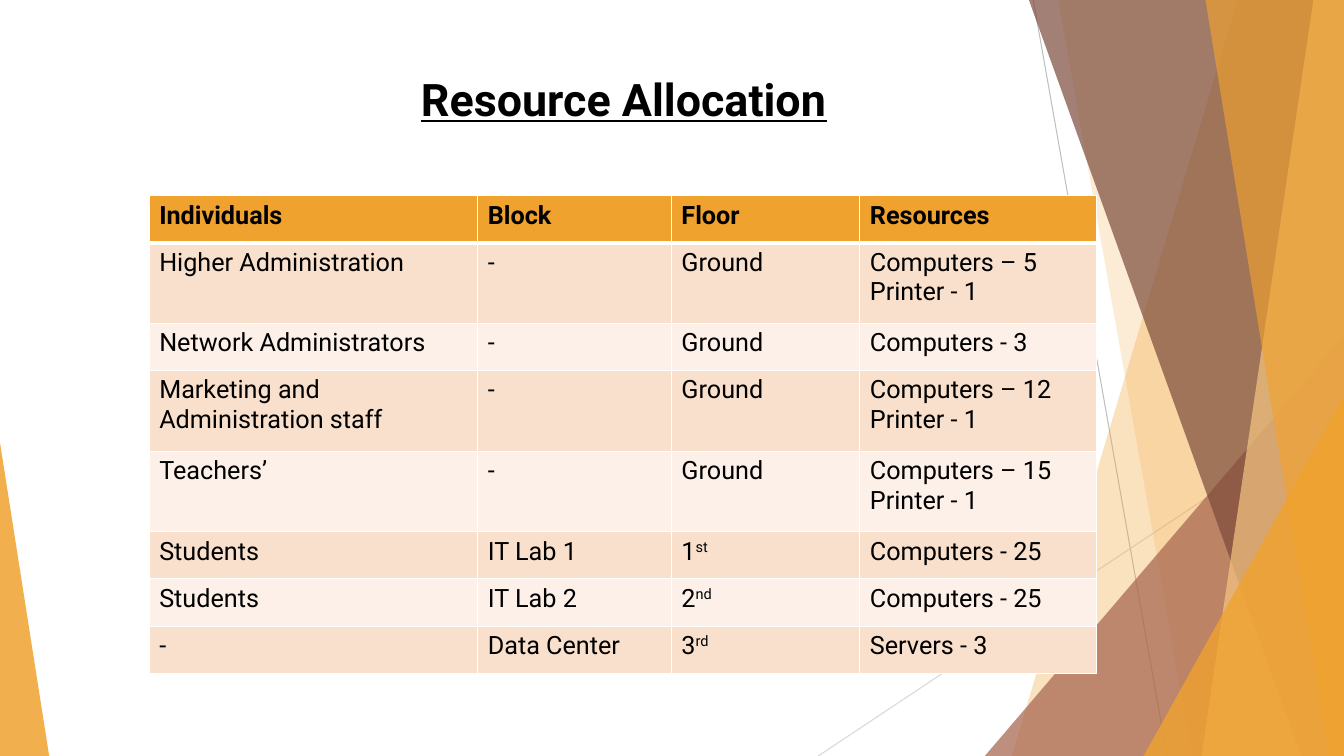
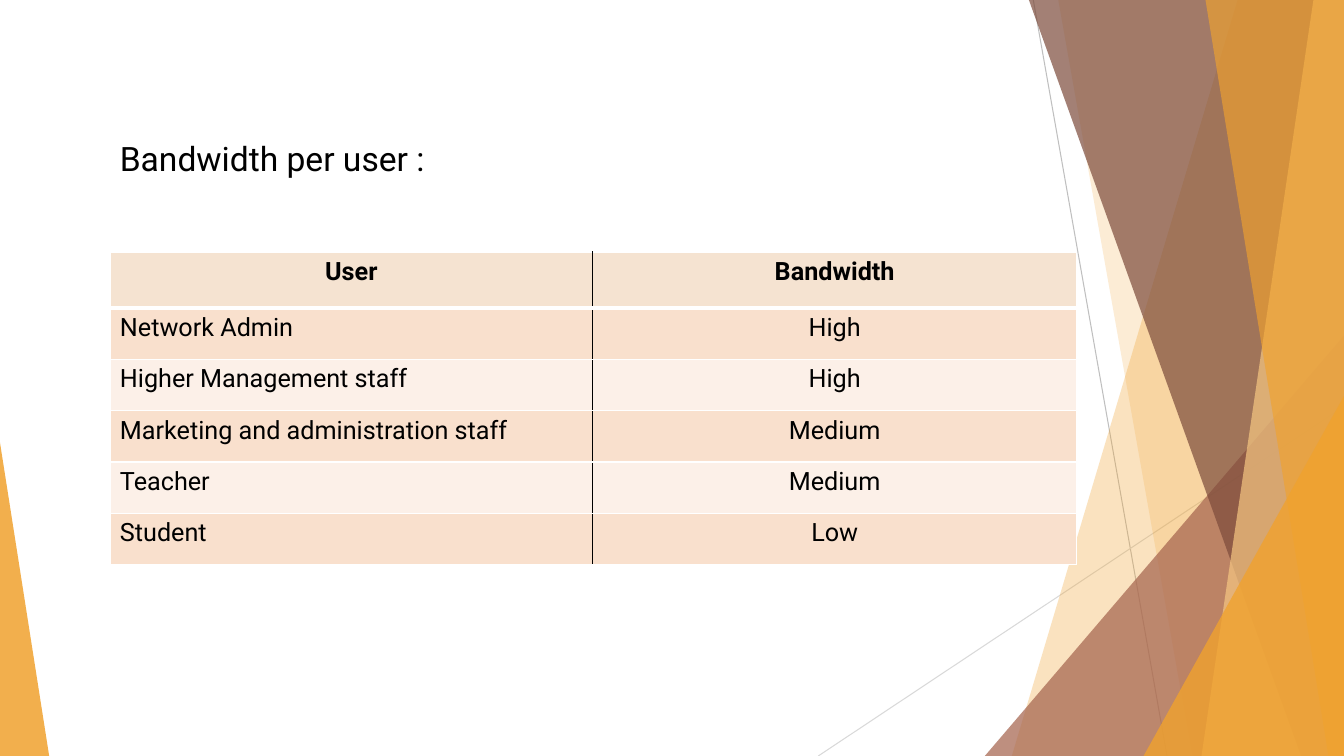
import pptx
import pptx.dml.color
import pptx.enum.shapes
import pptx.enum.text
import pptx.oxml.ns
import pptx.util
from lxml import etree

Cm, Pt = pptx.util.Cm, pptx.util.Pt
LEFT, CENTER = pptx.enum.text.PP_ALIGN.LEFT, pptx.enum.text.PP_ALIGN.CENTER

WIDTH, HEIGHT = 33.87, 19.05
FONT = "Roboto"
COLORS = {
    "text": "000000", "white": "FFFFFF", "amber": "F0A22E", "honey": "F6C782",
    "clay": "A5644E", "brown": "7C4B3B", "sand": "F5E3D1",
    "band_dark": "F9E0CD", "band_light": "FCF0E8",
    "grey": "BFBFBF", "light_grey": "D9D9D9",
}

# Lines: start, end, colour
RAYS = [
    ((26.04, 0), (29.41, HEIGHT), "grey"),
    ((WIDTH, 10.24), (20.62, HEIGHT), "light_grey"),
]
# From back to front. A band runs from its slanted left edge (top x, bottom x)
# to the right side; a corner is a right triangle standing on the bottom edge.
FACETS = [
    ("band", (31.19, 25.5), "amber", 30),
    ("band", (26.67, 30.05), "amber", 20),
    ("right corner", (9.05, 10.59), "clay", 72),
    ("band", (25.93, 32.79), "brown", 70),
    ("band", (33.1, 30.28), "honey", 70),
    ("band", (30.38, 33.48), "amber", 65),
    ("right corner", (5.05, 9.07), "amber", 80),
    ("left corner", (1.24, 7.9), "amber", 85),
]

# A cell is one text, a list of lines, or a (number, ordinal suffix) tuple.
SLIDES = [
    {
        "heading": {"text": "Resource Allocation", "box": (10.36, 1.68, 11.53, 1.63),
                    "size": 32, "emphasis": True},
        "table": {
            "corner": (3.76, 4.93),
            "columns": [8.28, 4.88, 4.75, 5.97],
            "align": [LEFT] * 4, "header_align": LEFT,
            "header_height": 1.19, "line_heights": {1: 1.19, 2: 2.03},
            "header_fill": "amber", "divider": "white",
            "rows": [
                ["Individuals", "Block", "Floor", "Resources"],
                ["Higher Administration", "-", "Ground", ["Computers – 5", "Printer - 1"]],
                ["Network Administrators", "-", "Ground", "Computers - 3"],
                ["Marketing and Administration staff", "-", "Ground",
                 ["Computers – 12", "Printer - 1"]],
                ["Teachers’", "-", "Ground", ["Computers – 15", "Printer - 1"]],
                ["Students", "IT Lab 1", ("1", "st"), "Computers - 25"],
                ["Students", "IT Lab 2", ("2", "nd"), "Computers - 25"],
                ["-", "Data Center", ("3", "rd"), "Servers - 3"],
            ],
        },
    },
    {
        "heading": {"text": "Bandwidth per user :", "box": (2.77, 3.35, 20.29, 2.31),
                    "size": 24, "emphasis": False},
        "table": {
            "corner": (2.77, 6.35),
            "columns": [12.17, 12.19],
            "align": [LEFT, CENTER], "header_align": CENTER,
            "header_height": 1.42, "line_heights": {1: 1.29},
            "header_fill": "sand", "divider": "text",
            "rows": [
                ["User", "Bandwidth"],
                ["Network Admin", "High"],
                ["Higher Management staff", "High"],
                ["Marketing and administration staff", "Medium"],
                ["Teacher", "Medium"],
                ["Student", "Low"],
            ],
        },
    },
]


def rgb(color):
    return pptx.dml.color.RGBColor.from_string(COLORS[color])


def add_xml(parent, tag, **attributes):
    return etree.SubElement(parent, pptx.oxml.ns.qn(tag), attributes)


def set_font(paragraph, size, bold=False, underline=False):
    font = paragraph.font
    font.name, font.size, font.bold = FONT, Pt(size), bold
    font.underline = underline
    font.color.rgb = rgb("text")


def add_ray(slide, start, end, color):
    points = [Cm(length) for length in (*start, *end)]
    ray = slide.shapes.add_connector(pptx.enum.shapes.MSO_CONNECTOR.STRAIGHT, *points)
    ray.line.color.rgb = rgb(color)
    ray.line.width = Pt(0.75)
    add_xml(ray.element.spPr, "a:effectLst")


def add_facet(slide, kind, extent, color, opacity):
    if kind == "band":
        top_x, bottom_x = extent
        outline = slide.shapes.build_freeform(Cm(top_x), 0)
        outline.add_line_segments([(Cm(x), Cm(y)) for x, y in
                                   ((WIDTH, 0), (WIDTH, HEIGHT), (bottom_x, HEIGHT))])
        facet = outline.convert_to_shape()
    else:
        width, height = extent
        on_right = kind == "right corner"
        facet = slide.shapes.add_shape(
            pptx.enum.shapes.MSO_SHAPE.ISOSCELES_TRIANGLE,
            Cm(WIDTH - width if on_right else 0), Cm(HEIGHT - height),
            Cm(width), Cm(height))
        facet.adjustments[0] = 1 if on_right else 0
    facet.shadow.inherit = False
    facet.line.fill.background()
    facet.fill.solid()
    facet.fill.fore_color.rgb = rgb(color)
    fill_color = facet.element.spPr.find(".//" + pptx.oxml.ns.qn("a:srgbClr"))
    add_xml(fill_color, "a:alpha", val=str(opacity * 1000))


def add_heading(slide, text, box, size, emphasis):
    frame = slide.shapes.add_textbox(*map(Cm, box)).text_frame
    frame.word_wrap = True
    paragraph = frame.paragraphs[0]
    paragraph.text = text
    set_font(paragraph, size, emphasis, emphasis)


def set_borders(cell, borders):
    """Take (colour, points) for the left, right, top and bottom side, in this order."""
    properties = cell._tc.get_or_add_tcPr()
    for position, (side, (color, points)) in enumerate(zip("LRTB", borders)):
        line = add_xml(properties, f"a:ln{side}", w=str(Pt(points)))
        add_xml(add_xml(line, "a:solidFill"), "a:srgbClr", val=COLORS[color])
        properties.insert(position, line)


def fill_cell(cell, content, align, bold):
    if isinstance(content, tuple):
        number, suffix = content
        paragraph = cell.text_frame.paragraphs[0]
        paragraph.add_run().text = number
        ordinal = paragraph.add_run()
        ordinal.text = suffix
        ordinal._r.get_or_add_rPr().set("baseline", "30000")
    else:
        cell.text = "\n".join(content) if isinstance(content, list) else content
    for paragraph in cell.text_frame.paragraphs:
        paragraph.alignment = align
        set_font(paragraph, 18, bold)


def add_grid(slide, corner, columns, align, header_align, header_height,
             line_heights, header_fill, divider, rows):
    heights = [header_height] + [
        line_heights[max(len(c) if isinstance(c, list) else 1 for c in row)]
        for row in rows[1:]]
    grid = slide.shapes.add_table(
        len(rows), len(columns), *map(Cm, corner),
        Cm(sum(columns)), Cm(sum(heights))).table
    for column, width in zip(grid.columns, columns):
        column.width = Cm(width)
    last = len(columns) - 1
    for r, row in enumerate(rows):
        grid.rows[r].height = Cm(heights[r])
        header = r == 0
        fill = header_fill if header else ("band_light", "band_dark")[r % 2]
        for c, content in enumerate(row):
            cell = grid.cell(r, c)
            fill_cell(cell, content, header_align if header else align[c], header)
            cell.fill.solid()
            cell.fill.fore_color.rgb = rgb(fill)
            set_borders(cell, [
                (divider if c > 0 else "white", 1),
                (divider if c < last else "white", 1),
                ("white", 3 if r == 1 else 1),
                ("white", 3 if header else 1)])


def main():
    deck = pptx.Presentation()
    deck.slide_width, deck.slide_height = Cm(WIDTH), Cm(HEIGHT)
    for content in SLIDES:
        slide = deck.slides.add_slide(deck.slide_layouts[6])
        for ray in RAYS:
            add_ray(slide, *ray)
        for facet in FACETS:
            add_facet(slide, *facet)
        add_grid(slide, **content["table"])
        add_heading(slide, **content["heading"])
    deck.save("out.pptx")


if __name__ == "__main__":
    main()
